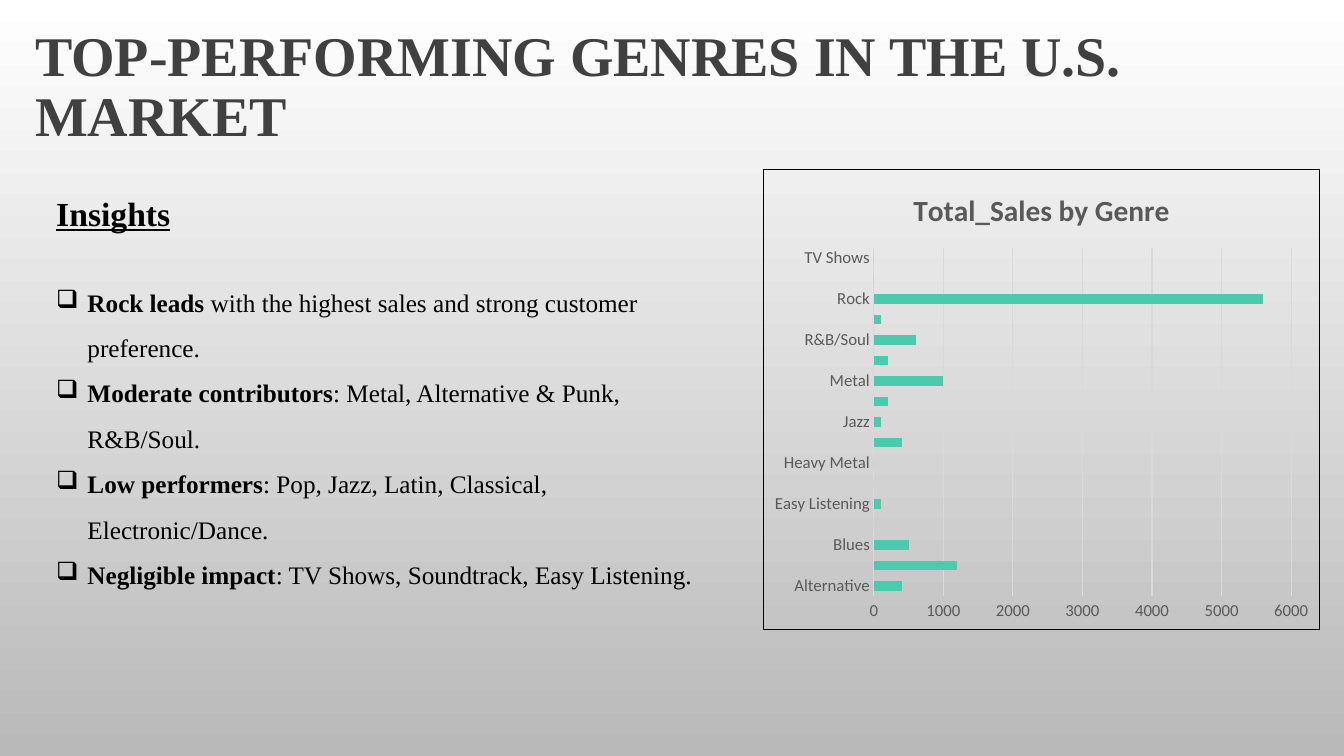
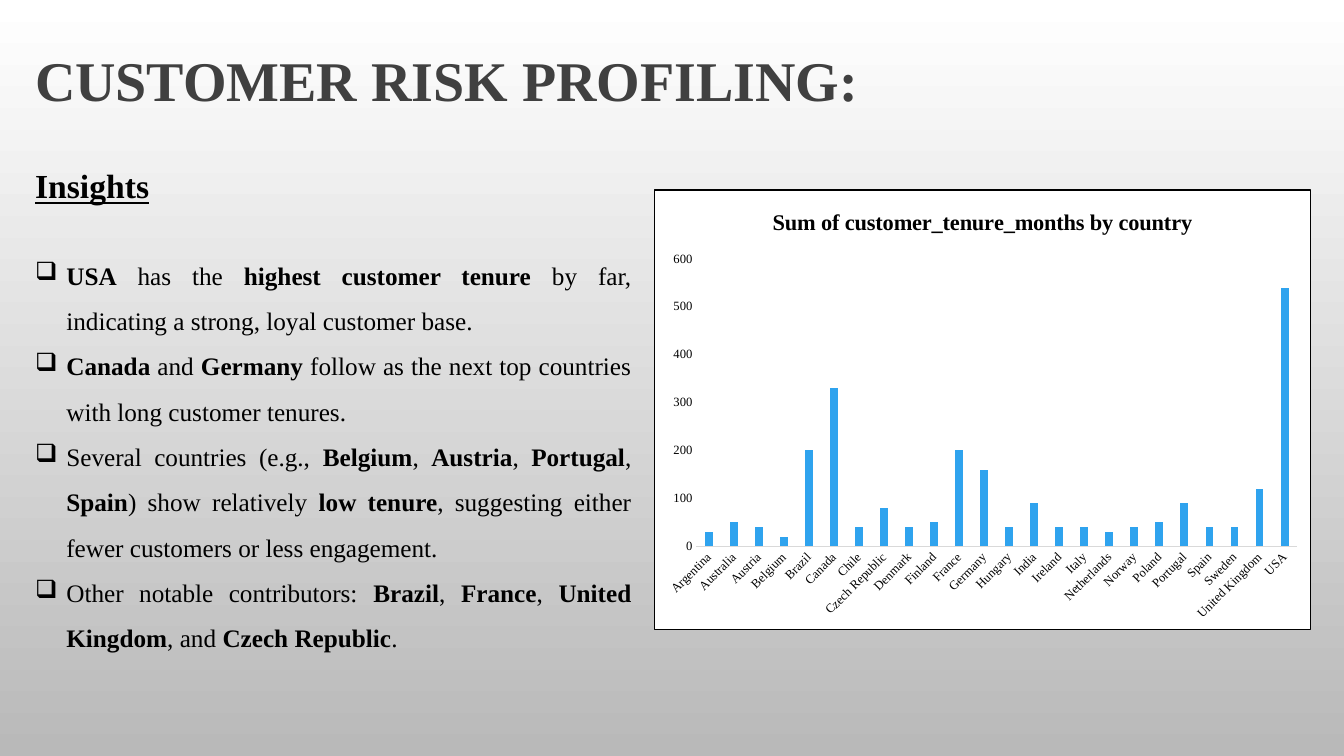
from dataclasses import dataclass

from lxml import etree
from pptx import Presentation
from pptx.chart.data import CategoryChartData
from pptx.dml.color import RGBColor
from pptx.enum.chart import XL_CHART_TYPE, XL_TICK_MARK
from pptx.enum.text import MSO_ANCHOR, PP_ALIGN
from pptx.oxml import parse_xml
from pptx.oxml.ns import nsdecls, qn
from pptx.util import Inches, Pt


@dataclass(frozen=True)
class Theme:
    text_font: str = "Times New Roman"
    chart_font: str = "Calibri"
    white: str = "FFFFFF"
    backdrop_end: str = "B9B9B9"
    title_color: str = "404040"
    black: str = "000000"
    chart_grey: str = "595959"
    rule_grey: str = "D9D9D9"
    teal: str = "4BCAAD"
    blue: str = "2FA3EE"
    title_size: int = 40
    heading_size: int = 24
    body_size: int = 18


THEME = Theme()
BLANK_LAYOUT = 6

SALES_BY_GENRE = {
    "Alternative": 400, "Alternative & Punk": 1200, "Blues": 500,
    "Classical": 0, "Easy Listening": 100, "Electronica/Dance": 0,
    "Heavy Metal": 0, "Hip Hop/Rap": 400, "Jazz": 100, "Latin": 200,
    "Metal": 1000, "Pop": 200, "R&B/Soul": 600, "Reggae": 100,
    "Rock": 5600, "Soundtrack": 0, "TV Shows": 0,
}
TENURE_BY_COUNTRY = {
    "Argentina": 30, "Australia": 50, "Austria": 40, "Belgium": 20,
    "Brazil": 200, "Canada": 330, "Chile": 40, "Czech Republic": 80,
    "Denmark": 40, "Finland": 50, "France": 200, "Germany": 160,
    "Hungary": 40, "India": 90, "Ireland": 40, "Italy": 40,
    "Netherlands": 30, "Norway": 40, "Poland": 50, "Portugal": 90,
    "Spain": 40, "Sweden": 40, "United Kingdom": 120, "USA": 540,
}
# Double asterisks enclose bold words.
GENRE_INSIGHTS = [
    "**Rock leads** with the highest sales and strong customer preference.",
    "**Moderate contributors**: Metal, Alternative & Punk, R&B/Soul.",
    "**Low performers**: Pop, Jazz, Latin, Classical, Electronic/Dance.",
    "**Negligible impact**: TV Shows, Soundtrack, Easy Listening.",
]
TENURE_INSIGHTS = [
    "**USA** has the **highest customer tenure** by far, indicating a strong, "
    "loyal customer base.",
    "**Canada** and **Germany** follow as the next top countries with long "
    "customer tenures.",
    "Several countries (e.g., **Belgium**, **Austria**, **Portugal**, "
    "**Spain**) show relatively **low tenure**, suggesting either fewer "
    "customers or less engagement.",
    "Other notable contributors: **Brazil**, **France**, **United Kingdom**, "
    "and **Czech Republic**.",
]


def rgb(color):
    return RGBColor.from_string(color)


def style_font(font, name, size, color, bold=False):
    font.name = name
    font.size = Pt(size)
    font.color.rgb = rgb(color)
    font.bold = bold


def add_span(para, text, size, color=THEME.black, bold=False):
    span = para.add_run()
    span.text = text
    style_font(span.font, THEME.text_font, size, color, bold)
    return span


def add_text_box(page, left, top, width, height):
    box = page.shapes.add_textbox(
        Inches(left), Inches(top), Inches(width), Inches(height))
    box.text_frame.word_wrap = True
    return box.text_frame


def add_title(page, text, top):
    frame = add_text_box(page, 0.25, top, 12.84, 1.31)
    frame.vertical_anchor = MSO_ANCHOR.MIDDLE
    para = frame.paragraphs[0]
    para.line_spacing = 0.9
    add_span(para, text, THEME.title_size, THEME.title_color, bold=True)


def add_bullet(para):
    properties = para._p.get_or_add_pPr()
    properties.set("marL", str(Inches(0.31)))
    properties.set("indent", str(-Inches(0.31)))
    etree.SubElement(properties, qn("a:buChar")).set("char", "❑")


def add_insights(page, insights, left, top, width, height, align=PP_ALIGN.LEFT):
    frame = add_text_box(page, left, top, width, height)
    heading = frame.paragraphs[0]
    heading.space_after = Pt(28)
    add_span(heading, "Insights", THEME.heading_size, bold=True).font.underline = True
    for insight in insights:
        para = frame.add_paragraph()
        para.alignment = align
        para.line_spacing = 1.5
        add_bullet(para)
        for index, text in enumerate(insight.split("**")):
            if text:
                add_span(para, text, THEME.body_size, bold=index % 2 == 1)


def frame_chart(chart, fill):
    """Give the chart area a thin black border and an optional fill."""
    paint = f'<a:solidFill><a:srgbClr val="{fill}"/></a:solidFill>' if fill else "<a:noFill/>"
    area = parse_xml(
        f'<c:spPr {nsdecls("c", "a")}>{paint}<a:ln w="{Pt(0.75)}"><a:solidFill>'
        f'<a:srgbClr val="{THEME.black}"/></a:solidFill></a:ln></c:spPr>')
    chart.element.find(qn("c:txPr")).addprevious(area)


def style_axes(chart, font, size, color, maximum, gridlines):
    for axis in (chart.category_axis, chart.value_axis):
        axis.major_tick_mark = axis.minor_tick_mark = XL_TICK_MARK.NONE
        axis.has_major_gridlines = False
        style_font(axis.tick_labels.font, font, size, color)
    category_line = chart.category_axis.format.line
    category_line.color.rgb = rgb(THEME.rule_grey)
    category_line.width = Pt(0.75)
    values = chart.value_axis
    values.format.line.fill.background()
    values.minimum_scale = 0
    values.maximum_scale = maximum
    values.major_unit = maximum / 6
    if gridlines:
        values.has_major_gridlines = True
        grid_line = values.major_gridlines.format.line
        grid_line.color.rgb = rgb(THEME.rule_grey)
        grid_line.width = Pt(0.75)


def add_bar_chart(page, kind, place, title, values, *, color, gap, overlap,
                  font, text_color, title_size, label_size, maximum,
                  fill=None, gridlines=False):
    data = CategoryChartData()
    data.categories = list(values)
    data.add_series("Series 1", list(values.values()))
    chart = page.shapes.add_chart(kind, *map(Inches, place), data).chart
    style_font(chart.font, THEME.chart_font, 10, THEME.black)
    chart.has_legend = False
    chart.has_title = True
    chart.chart_title.include_in_layout = False
    span = chart.chart_title.text_frame.paragraphs[0].add_run()
    span.text = title
    style_font(span.font, font, title_size, text_color, bold=True)
    plot = chart.plots[0]
    plot.vary_by_categories = False
    plot.gap_width = gap
    plot.overlap = overlap
    bar_fill = plot.series[0].format.fill
    bar_fill.solid()
    bar_fill.fore_color.rgb = rgb(color)
    style_axes(chart, font, label_size, text_color, maximum, gridlines)
    frame_chart(chart, fill)
    return chart


def slant_category_labels(chart):
    for body in chart.element.xpath(".//c:catAx/c:txPr/a:bodyPr"):
        body.set("rot", str(-45 * 60000))


def set_backdrop(deck):
    """Put the vertical gradient on the master, for every page."""
    fill = deck.slide_master.background.fill
    fill.gradient()
    fill.gradient_angle = 270
    for stop, color in zip(fill.gradient_stops, (THEME.white, THEME.backdrop_end)):
        stop.color.rgb = rgb(color)


def add_page(deck):
    return deck.slides.add_slide(deck.slide_layouts[BLANK_LAYOUT])


def build_genre_page(deck):
    page = add_page(deck)
    add_title(page, "TOP-PERFORMING GENRES IN THE U.S. MARKET", 0.22)
    add_bar_chart(
        page, XL_CHART_TYPE.BAR_CLUSTERED, (7.57, 1.68, 5.52, 4.57),
        "Total_Sales by Genre", SALES_BY_GENRE, color=THEME.teal,
        gap=115, overlap=-20, font=THEME.chart_font,
        text_color=THEME.chart_grey, title_size=21, label_size=12,
        maximum=6000, gridlines=True)
    add_insights(page, GENRE_INSIGHTS, 0.46, 1.86, 6.67, 4.04)


def build_tenure_page(deck):
    page = add_page(deck)
    add_title(page, "CUSTOMER RISK PROFILING:", 0.17)
    chart = add_bar_chart(
        page, XL_CHART_TYPE.COLUMN_CLUSTERED, (6.49, 1.88, 6.51, 4.37),
        "Sum of customer_tenure_months by country", TENURE_BY_COUNTRY,
        color=THEME.blue, gap=219, overlap=-27, font=THEME.text_font,
        text_color=THEME.black, title_size=16, label_size=9,
        maximum=600, fill=THEME.white)
    slant_category_labels(chart)
    add_insights(page, TENURE_INSIGHTS, 0.25, 1.59, 6.11, 4.95, PP_ALIGN.JUSTIFY)


def main():
    deck = Presentation()
    deck.slide_width = Inches(13.33)
    deck.slide_height = Inches(7.5)
    set_backdrop(deck)
    build_genre_page(deck)
    build_tenure_page(deck)
    deck.save("out.pptx")


if __name__ == "__main__":
    main()
